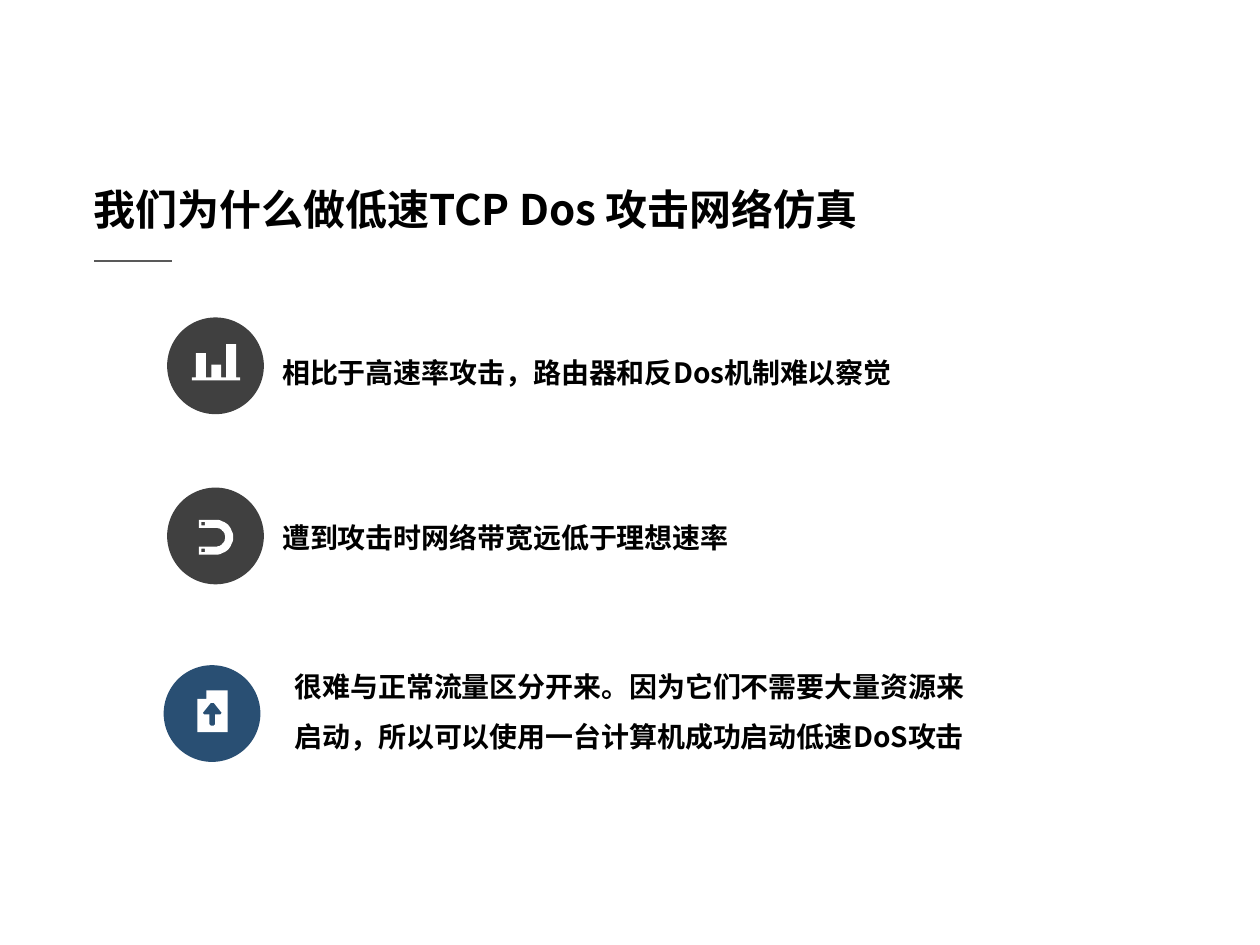
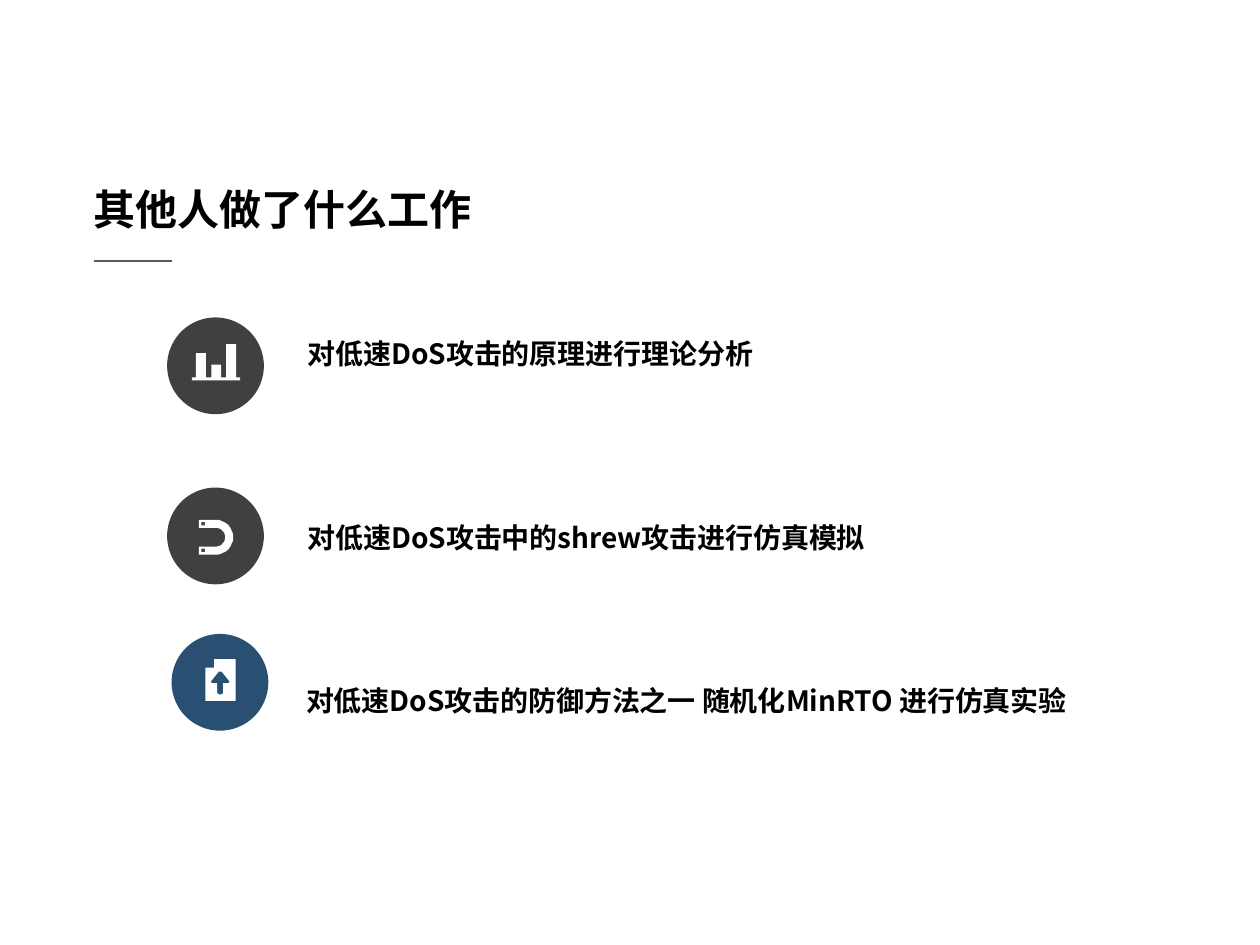
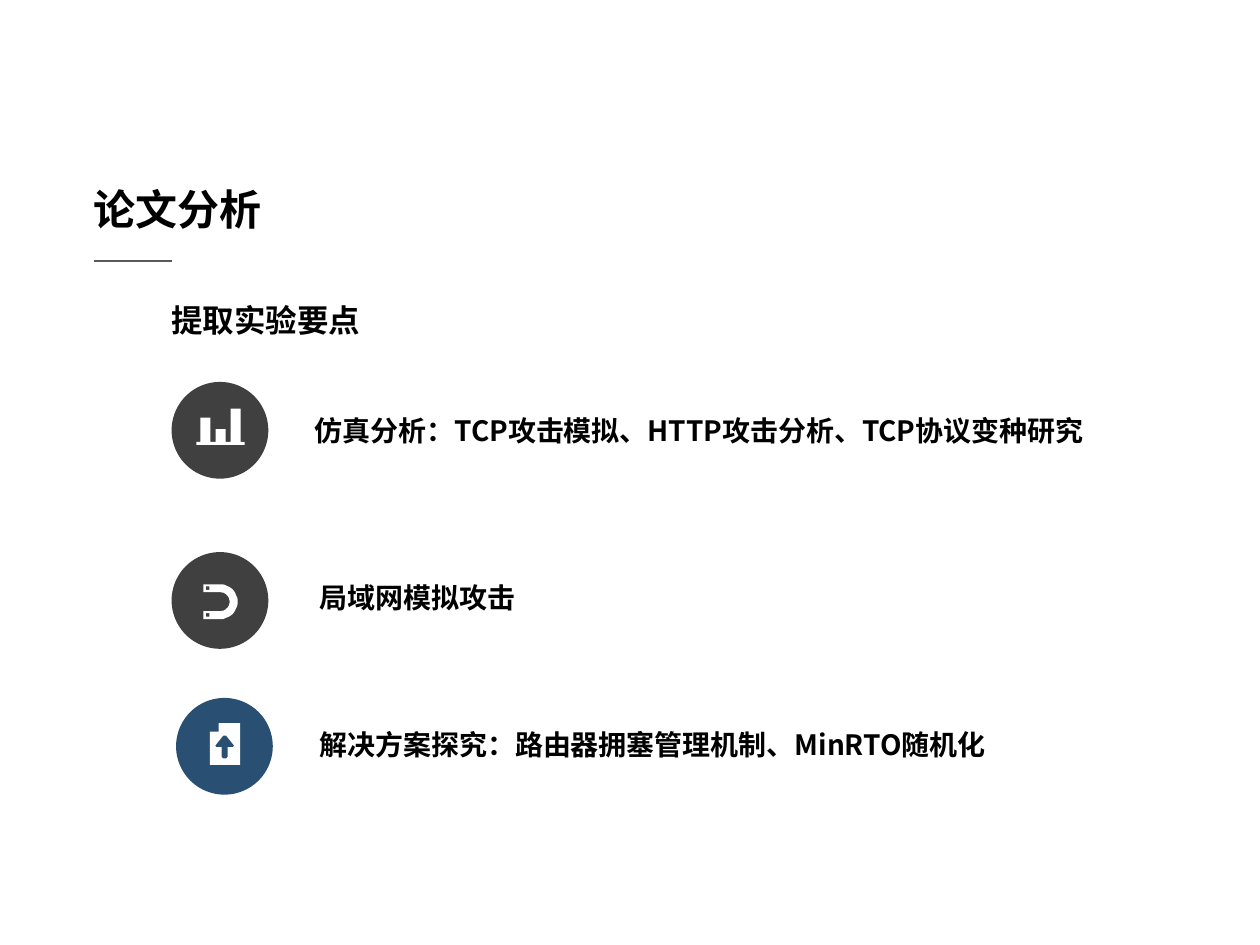
import math

from pptx import Presentation
from pptx.dml.color import RGBColor
from pptx.enum import shapes, text
from pptx.oxml import ns
from pptx.util import Cm, Pt
from lxml import etree

FONT = "Noto Sans CJK SC"
COLORS = {"text": "000000", "rule": "595959", "dark": "404040", "blue": "294F73", "icon": "FFFFFF"}
CIRCLE = 1.95  # cm
ICON_UNIT = Cm(0.01)  # icon outlines are drawn in hundredths of a cm

# Each point: icon, circle (left, top), text (left, top, width), line spacing, wording; all in cm
SLIDES = [
    {
        "title": "我们为什么做低速TCP Dos 攻击网络仿真",
        "points": [
            ("bars", (3.37, 6.4), (5.69, 7.16, 13.06), 1, "相比于高速率攻击，路由器和反Dos机制难以察觉"),
            ("magnet", (3.37, 9.83), (5.69, 10.49, 9.4), 1, "遭到攻击时网络带宽远低于理想速率"),
            ("file", (3.3, 13.41), (5.94, 13.16, 13.56), 1.5,
             "很难与正常流量区分开来。因为它们不需要大量资源来启动，"
             "所以可以使用一台计算机成功启动低速DoS攻击"),
        ],
    },
    {
        "title": "其他人做了什么工作",
        "points": [
            ("bars", (3.37, 6.4), (6.2, 6.78, 12.1), 1, "对低速DoS攻击的原理进行理论分析"),
            ("magnet", (3.37, 9.83), (6.2, 10.49, 12.1), 1, "对低速DoS攻击中的shrew攻击进行仿真模拟"),
            ("file", (3.46, 12.78), (6.17, 13.79, 16.54), 1,
             "对低速DoS攻击的防御方法之一 随机化MinRTO 进行仿真实验"),
        ],
    },
    {
        "title": "论文分析",
        "heading": "提取实验要点",
        "points": [
            ("bars", (3.46, 7.7), (6.35, 8.33, 15.85), 1,
             "仿真分析：TCP攻击模拟、HTTP攻击分析、TCP协议变种研究"),
            ("magnet", (3.46, 11.13), (6.45, 11.71, 4.9), 1, "局域网模拟攻击"),
            ("file", (3.55, 14.07), (6.45, 14.66, 13.87), 1, "解决方案探究：路由器拥塞管理机制、MinRTO随机化"),
        ],
    },
]


def rectangle(left, top, right, bottom):
    return [(left, top), (right, top), (right, bottom), (left, bottom)]


def half_circle(radius, center=(98, 100), steps=24):
    """Points from the top of the circle, round its right side, to its bottom."""
    angles = [math.pi * (step / steps - 0.5) for step in range(steps + 1)]
    return [(center[0] + radius * math.cos(a), center[1] + radius * math.sin(a)) for a in angles]


def bar_outline():
    outline = [(50, 127), (50, 121)]
    for left, top in [(58, 72), (89, 95), (119, 54)]:
        outline += [(left, 121), (left, top), (left + 20, top), (left + 20, 121)]
    return outline + [(147, 121), (147, 127)]


def magnet_outline():
    return [(64, 65), *half_circle(35), (64, 135), (64, 119), *half_circle(19)[::-1], (64, 81)]


PAGE = [(86, 51), (129, 51), (129, 135), (68, 135), (68, 68), (86, 68)]
ARROW = [(95, 76), (101, 76), (117, 96), (115, 99), (104, 99), (104, 119),
         (101, 122), (95, 122), (92, 119), (92, 99), (81, 99), (79, 96)]
# Fill colour of the circle and the contours of its icon, outline first, then holes
ICONS = {
    "bars": ("dark", [bar_outline()]),
    "magnet": ("dark", [magnet_outline(), rectangle(69, 69, 76, 76), rectangle(69, 123, 76, 130)]),
    "file": ("blue", [PAGE, ARROW]),
}


def color(name):
    return RGBColor.from_string(COLORS[name])


def paint(shape, name):
    shape.shadow.inherit = False
    shape.fill.solid()
    shape.fill.fore_color.rgb = color(name)
    shape.line.fill.background()


def add_text(slide, wording, box, size, height=0.69, margins=(0, 0), spacing=1):
    left, top, width = box
    frame = slide.shapes.add_textbox(Cm(left), Cm(top), Cm(width), Cm(height)).text_frame
    frame.word_wrap = True
    frame.vertical_anchor = text.MSO_ANCHOR.TOP
    frame.margin_left = frame.margin_right = Cm(margins[0])
    frame.margin_top = frame.margin_bottom = Cm(margins[1])
    paragraph = frame.paragraphs[0]
    paragraph.line_spacing = spacing
    run = paragraph.add_run()
    run.text = wording
    font = run.font
    font.name, font.size, font.bold = FONT, Pt(size), True
    font.color.rgb = color("text")
    east_asian = etree.SubElement(run._r.get_or_add_rPr(), ns.qn("a:ea"))
    east_asian.set("typeface", FONT)


def add_title(slide, title):
    add_text(slide, title, (1.73, 3.61, 16.56), 24, height=1.17, margins=(0.15, 0.08))
    rule = slide.shapes.add_connector(shapes.MSO_CONNECTOR.STRAIGHT, Cm(1.9), Cm(5.26), Cm(3.46), Cm(5.26))
    rule.line.color.rgb = color("rule")
    rule.line.width = Pt(0.75)
    etree.SubElement(rule._element.spPr, ns.qn("a:effectLst"))


def add_icon(slide, name, left, top):
    circle_color, contours = ICONS[name]
    circle = slide.shapes.add_shape(
        shapes.MSO_SHAPE.FLOWCHART_CONNECTOR, Cm(left), Cm(top), Cm(CIRCLE), Cm(CIRCLE))
    paint(circle, circle_color)
    outline, *holes = contours
    builder = slide.shapes.build_freeform(*outline[0], scale=ICON_UNIT)
    builder.add_line_segments(outline[1:])
    for hole in holes:
        builder.move_to(*hole[0])
        builder.add_line_segments(hole[1:])
    paint(builder.convert_to_shape(Cm(left), Cm(top)), "icon")


def main():
    presentation = Presentation()
    presentation.slide_width, presentation.slide_height = Cm(25.4), Cm(19.05)
    for content in SLIDES:
        slide = presentation.slides.add_slide(presentation.slide_layouts[6])
        add_title(slide, content["title"])
        if "heading" in content:
            add_text(slide, content["heading"], (3.45, 6.07, 3.96), 18, height=0.76)
        for icon, position, box, spacing, wording in content["points"]:
            add_icon(slide, icon, *position)
            add_text(slide, wording, box, 16, spacing=spacing)
    presentation.save("out.pptx")


if __name__ == "__main__":
    main()
